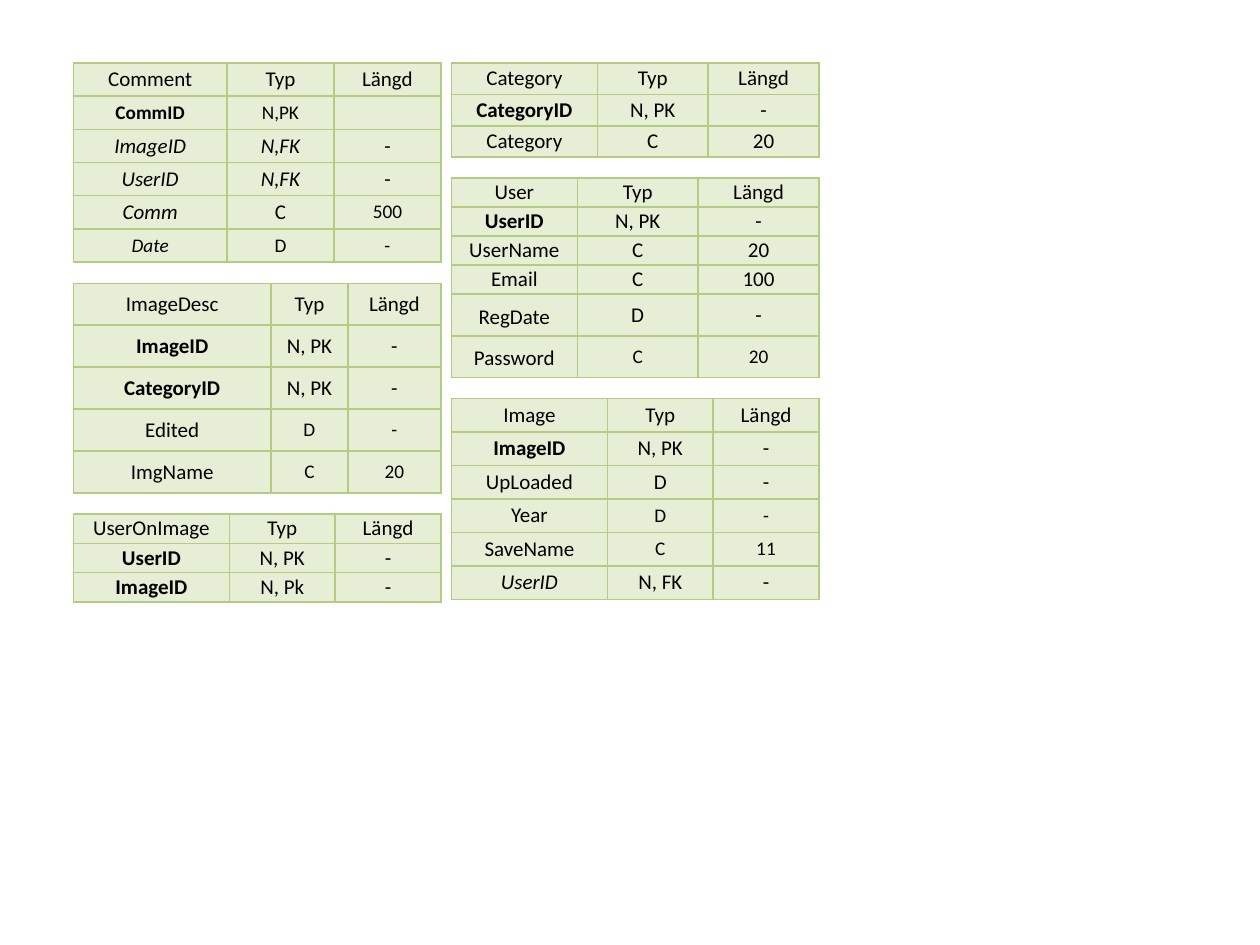
import pptx
import pptx.dml.color
import pptx.enum.text
import pptx.oxml
import pptx.oxml.ns
import pptx.util
from pptx.util import Cm

FILL, BORDER, INK = "E6EED5", "B3CC82", "000000"
TOP, GAP = 1.27, 0.42
LEFT_EDGE, RIGHT_EDGE, WIDTH = 1.48, 9.1, 7.41

BOLD = {"bold": True}
ITALIC = {"italic": True}
SMALL = {"size": 11}
LOOSE = {"spacing": 1.15}

# Each table: height in cm, relative column widths, relative row heights, rows below the header.
# A cell is plain text or a pair of text and format.
COMMENT = {
    "name": "Comment", "height": 4.02, "columns": (1.22, 0.85, 0.85), "row_shares": (1,) * 6,
    "fields": [
        [("CommID", BOLD | SMALL), ("N,PK", SMALL), ("", SMALL)],
        [("ImageID", ITALIC), ("N,FK", ITALIC), "-"],
        [("UserID", ITALIC), ("N,FK", ITALIC), "-"],
        [("Comm", ITALIC), "C", ("500", SMALL)],
        [("Date", ITALIC | SMALL), ("D", SMALL), ("-", SMALL)],
    ],
}
IMAGE_DESC = {
    "name": "ImageDesc", "height": 4.23, "columns": (1.57, 0.61, 0.74), "row_shares": (1,) * 5,
    "fields": [
        [("ImageID", BOLD), "N, PK", "-"],
        [("CategoryID", BOLD), "N, PK", "-"],
        ["Edited", ("D", SMALL), ("-", SMALL)],
        ["ImgName", ("C", SMALL), ("20", SMALL)],
    ],
}
USER_ON_IMAGE = {
    "name": "UserOnImage", "height": 1.78, "columns": (1.24, 0.84, 0.84), "row_shares": (1,) * 3,
    "fields": [
        [("UserID", BOLD), "N, PK", "-"],
        [("ImageID", BOLD), "N, Pk", "-"],
    ],
}
CATEGORY = {
    "name": "Category", "height": 1.9, "columns": (1.16, 0.88, 0.88), "row_shares": (1,) * 3,
    "fields": [
        [("CategoryID", BOLD), "N, PK", "-"],
        ["Category", "C", "20"],
    ],
}
USER = {
    "name": "User", "height": 4.02, "columns": (1, 0.96, 0.96),
    "row_shares": (0.23, 0.23, 0.23, 0.23, 0.33, 0.33),
    "fields": [
        [("UserID", BOLD), "N, PK", "-"],
        ["UserName", "C", "20"],
        ["Email", "C", "100"],
        [("RegDate", LOOSE), "D", "-"],
        [("Password", LOOSE), ("C", SMALL), ("20", SMALL)],
    ],
}
IMAGE = {
    "name": "Image", "height": 4.06, "columns": (1.24, 0.84, 0.84), "row_shares": (1,) * 6,
    "fields": [
        [("ImageID", BOLD), "N, PK", "-"],
        ["UpLoaded", "D", "-"],
        ["Year", ("D", SMALL), ("-", SMALL)],
        ["SaveName", ("C", SMALL), ("11", SMALL)],
        [("UserID", ITALIC), "N, FK", "-"],
    ],
}


def color(value):
    return pptx.dml.color.RGBColor.from_string(value)


def write(cell, text, size=12, bold=False, italic=False, spacing=None):
    para = cell.text_frame.paragraphs[0]
    para.alignment = pptx.enum.text.PP_ALIGN.CENTER
    para.line_spacing = spacing
    if not text:
        # An empty cell still needs a text size, or its row grows.
        para._p.get_or_add_endParaRPr().set("sz", str(size * 100))
        return
    span = para.add_run()
    span.text = text
    span.font.name = "Calibri"
    span.font.size = pptx.util.Pt(size)
    span.font.bold = bold
    span.font.italic = italic
    span.font.color.rgb = color(INK)


def style_cell(cell):
    cell.vertical_anchor = pptx.enum.text.MSO_ANCHOR.MIDDLE
    cell.margin_left = cell.margin_right = Cm(0.18)
    cell.margin_top = cell.margin_bottom = 0
    cell.fill.solid()
    cell.fill.fore_color.rgb = color(FILL)
    properties = cell._tc.get_or_add_tcPr()
    for position, side in enumerate(("lnL", "lnR", "lnT", "lnB")):
        line = pptx.oxml.parse_xml(
            f'<a:{side} {pptx.oxml.ns.nsdecls("a")} w="12700"><a:solidFill>'
            f'<a:srgbClr val="{BORDER}"/></a:solidFill></a:{side}>'
        )
        properties.insert(position, line)


def add_entity(page, entity, left, top, width):
    rows = [[entity["name"], "Typ", "Längd"], *entity["fields"]]
    columns, shares, height = entity["columns"], entity["row_shares"], entity["height"]
    table = page.shapes.add_table(
        len(rows), len(columns), Cm(left), Cm(top), Cm(width), Cm(height)
    ).table
    table.first_row = table.horz_banding = False
    for column, share in zip(table.columns, columns):
        column.width = Cm(width * share / sum(columns))
    for row, share, values in zip(table.rows, shares, rows):
        row.height = Cm(height * share / sum(shares))
        for cell, value in zip(row.cells, values):
            style_cell(cell)
            text, text_format = (value, {}) if isinstance(value, str) else value
            write(cell, text, **text_format)


def add_stack(page, entities, left, top, width):
    """Place tables below each other with equal gaps."""
    for entity in entities:
        add_entity(page, entity, left, top, width)
        top += entity["height"] + GAP


def main():
    deck = pptx.Presentation()
    deck.slide_width, deck.slide_height = Cm(25.4), Cm(19.05)
    page = deck.slides.add_slide(deck.slide_layouts[6])
    add_stack(page, (COMMENT, IMAGE_DESC, USER_ON_IMAGE), LEFT_EDGE, TOP, WIDTH)
    add_stack(page, (CATEGORY, USER, IMAGE), RIGHT_EDGE, TOP, WIDTH)
    deck.save("out.pptx")


if __name__ == "__main__":
    main()
